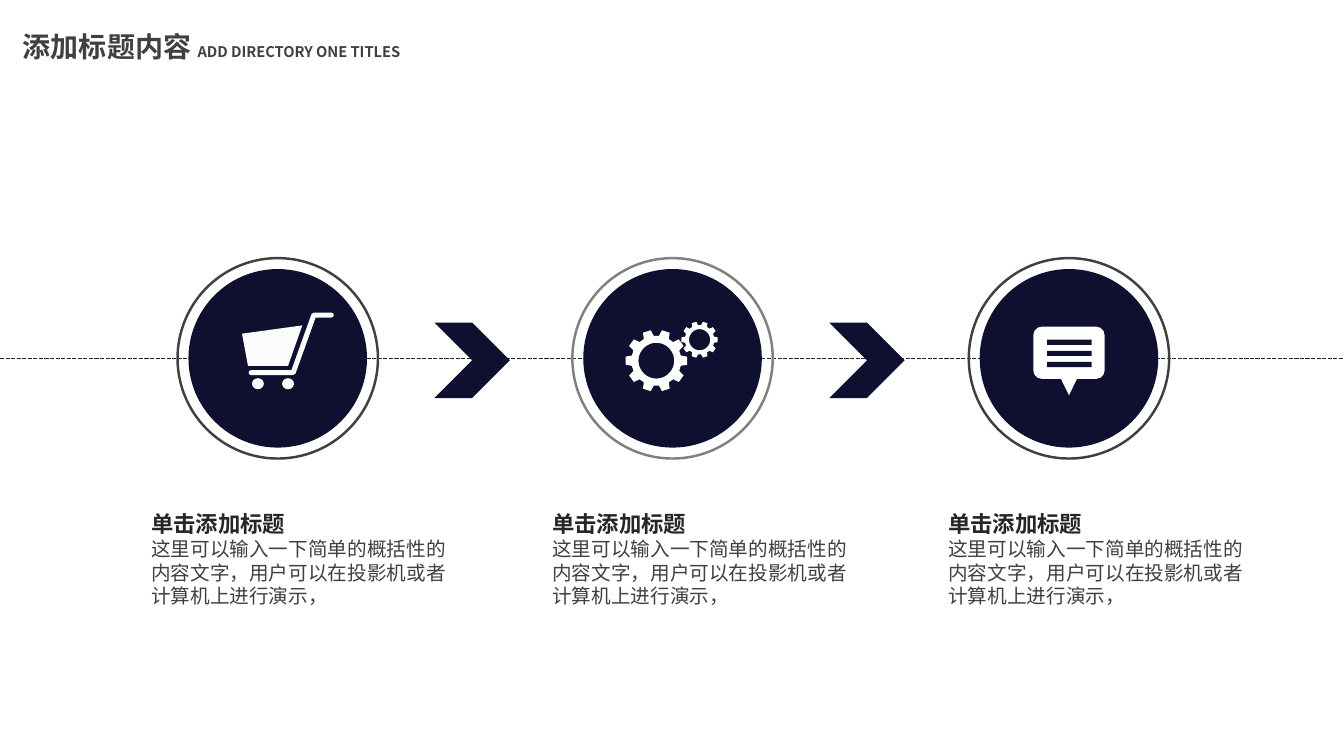
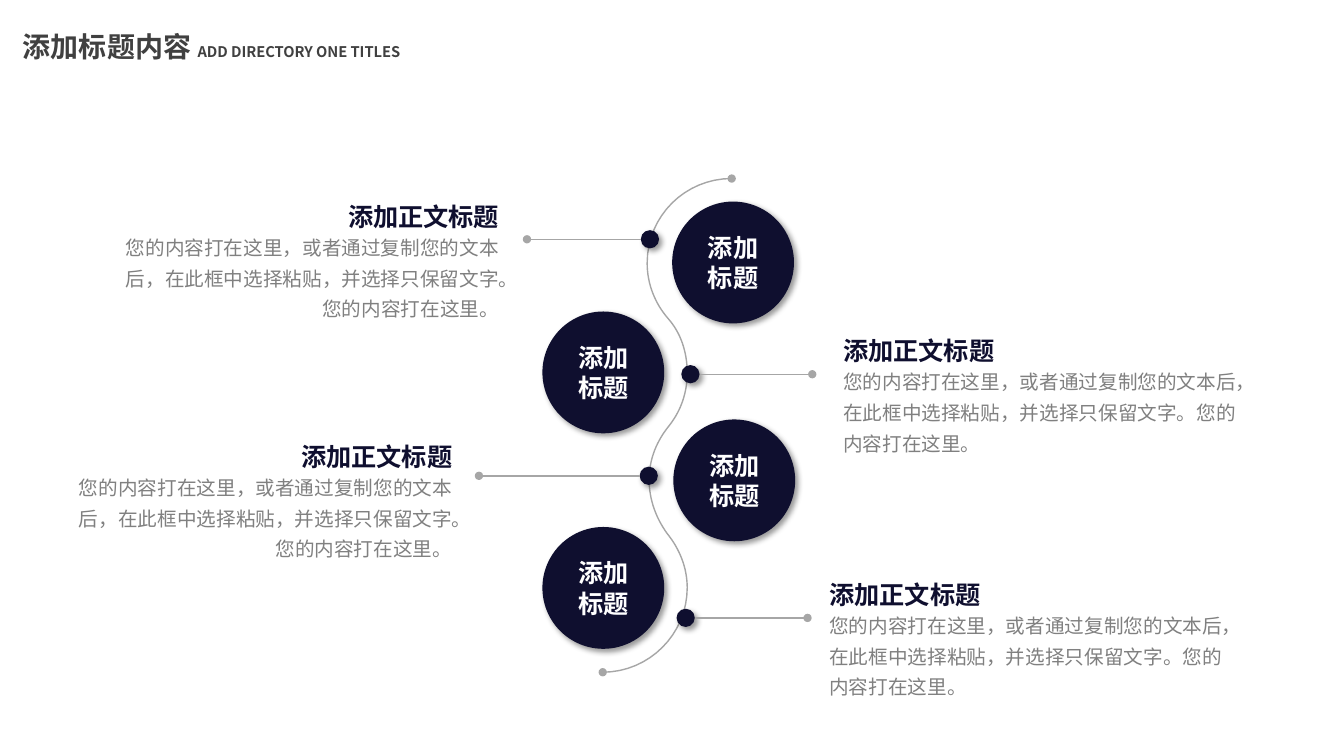
from math import cos, sin, radians
from lxml.etree import SubElement
from pptx import Presentation
from pptx.dml.color import RGBColor
from pptx.enum.dml import MSO_LINE
from pptx.enum.shapes import MSO_CONNECTOR, MSO_SHAPE
from pptx.enum.text import MSO_ANCHOR, MSO_AUTO_SIZE, PP_ALIGN
from pptx.oxml.ns import qn
from pptx.util import Cm, Pt

OVAL = MSO_SHAPE.OVAL
RECT = MSO_SHAPE.RECTANGLE
ROUND = MSO_SHAPE.ROUNDED_RECTANGLE
WEDGE = MSO_SHAPE.FLOWCHART_MERGE
ARROW = MSO_SHAPE.CHEVRON
LINE = MSO_CONNECTOR.STRAIGHT
DASH = MSO_LINE.SQUARE_DOT
LEFT, MID, RIGHT = PP_ALIGN.LEFT, PP_ALIGN.CENTER, PP_ALIGN.RIGHT
CENTRE = MSO_ANCHOR.MIDDLE
GROW = MSO_AUTO_SIZE.SHAPE_TO_FIT_TEXT

FACE = "Noto Sans CJK SC"
NAVY, WHITE, PALE = "0F0F2F", "FFFFFF", "FCFCFC"
INK, DARK, GREY, RULE = "262626", "404040", "808080", "A6A6A6"


def paint(item, fill=None, edge=None, width=1, dash=None, ends=(), drop=False):
    if fill:
        item.fill.solid()
        item.fill.fore_color.rgb = RGBColor.from_string(fill)
    elif hasattr(item, "fill"):
        item.fill.background()
    if edge:
        item.line.color.rgb = RGBColor.from_string(edge)
        item.line.width = Pt(width)
    else:
        item.line.fill.background()
    if dash:
        item.line.dash_style = dash
    props = item.element.spPr
    for end in ends:
        SubElement(props.find(qn("a:ln")), qn("a:" + end), type="oval")
    effects = SubElement(props, qn("a:effectLst"))
    if drop:
        shade = SubElement(effects, qn("a:outerShdw"), blurRad=str(Pt(4)),
                           dist=str(Pt(3)), dir="2700000", algn="tl", rotWithShape="0")
        tone = SubElement(shade, qn("a:srgbClr"), val="000000")
        SubElement(tone, qn("a:alpha"), val="40000")


def write(frame, text, size, hue, bold=False, align=LEFT, space=None):
    para = frame.add_paragraph() if frame.text else frame.paragraphs[0]
    para.add_run().text = text
    para.alignment = align
    if space:
        para.line_spacing = space
    font = para.font
    font.size = Pt(size)
    font.bold = bold
    font.color.rgb = RGBColor.from_string(hue)
    font.name = FACE
    SubElement(para._p.pPr.find(qn("a:defRPr")), qn("a:ea"), typeface=FACE)
    return para


deck = Presentation()
deck.slide_width, deck.slide_height = Cm(33.87), Cm(19.05)
pages = [deck.slides.add_slide(deck.slide_layouts[6]) for _ in range(2)]
for page in pages:
    frame = page.shapes.add_textbox(0, Cm(0.61), Cm(10.67), Cm(1.12)).text_frame
    frame.word_wrap = True
    frame.auto_size = GROW
    para = write(frame, "添加标题内容 ", 20, DARK, True, MID)
    run = para.add_run()
    run.text = "ADD DIRECTORY ONE TITLES"
    run.font.size = Pt(10.5)

steps, path = [page.shapes for page in pages]

axis = 9.03
line = steps.add_connector(LINE, 0, Cm(axis), deck.slide_width, Cm(axis))
paint(line, edge=INK, dash=DASH)
for x in (10.95, 20.9):
    paint(steps.add_shape(ARROW, Cm(x), Cm(8.13), Cm(1.9), Cm(1.9)), NAVY)

icons = []
for mid, edge in ((7, DARK), (16.95, GREY), (26.94, DARK)):
    icon = steps.add_group_shape().shapes
    for size, fill, rim in ((5.05, None, edge), (4.5, NAVY, None)):
        disc = icon.add_shape(OVAL, Cm(mid - size / 2), Cm(axis - size / 2), Cm(size), Cm(size))
        paint(disc, fill, rim, 1.75)
    icons.append(icon)
cart, gears, chat = icons

spots = [(7.62, 8.2), (6.1, 8.41), (6.25, 9.22), (7.26, 9.22)]
spots = [(Cm(x), Cm(y)) for x, y in spots]
form = cart.build_freeform(*spots[0])
form.add_line_segments(spots[1:])
paint(form.convert_to_shape(), PALE)
spots = [(6.33, 9.39), (7.39, 9.39), (7.91, 7.94), (8.35, 7.94)]
spots = [(Cm(x), Cm(y)) for x, y in spots]
form = cart.build_freeform(*spots[0])
form.add_line_segments(spots[1:], close=False)
grip = form.convert_to_shape()
paint(grip, edge=PALE, width=3.6)
grip.element.spPr.find(qn("a:ln")).set("cap", "rnd")
for x in (6.35, 7.11):
    paint(cart.add_shape(OVAL, Cm(x), Cm(9.53), Cm(0.3), Cm(0.28)), PALE)

tooth = ((-12, 0.63), (-7.5, 0.78), (7.5, 0.78), (12, 0.63))
rim = [(36 * n + turn, far) for n in range(10) for turn, far in tooth]
hole = [(turn, 0.45) for turn in range(0, 360, 6)]
for x, y, scale in ((16.54, 9.09, 1), (17.63, 8.56, 0.59)):
    rings = [[(Cm(x + scale * far * cos(radians(turn))), Cm(y + scale * far * sin(radians(turn))))
              for turn, far in ring] for ring in (rim, hole)]
    form = gears.build_freeform(*rings[0][0])
    form.add_line_segments(rings[0][1:])
    form.move_to(*rings[1][0])
    form.add_line_segments(rings[1][1:])
    paint(form.convert_to_shape(), WHITE)

paint(chat.add_shape(WEDGE, Cm(26.7), Cm(9.47), Cm(0.48), Cm(0.49)), WHITE)
paint(chat.add_shape(ROUND, Cm(26.04), Cm(8.23), Cm(1.8), Cm(1.32)), WHITE)
for n in range(3):
    paint(chat.add_shape(RECT, Cm(26.39), Cm(8.56 + 0.28 * n), Cm(1.12), Cm(0.13)), NAVY)

for x in (3.56, 13.67, 23.65):
    frame = steps.add_textbox(Cm(x), Cm(12.73), Cm(8), Cm(2.74)).text_frame
    frame.word_wrap = False
    frame.auto_size = GROW
    write(frame, "单击添加标题", 16, INK, True)
    for text in ("这里可以输入一下简单的概括性的", "内容文字，用户可以在投影机或者", "计算机上进行演示，"):
        write(frame, text, 14, DARK)

knots = [(15.19, 16.94), (16.36, 16.94), (17.32, 15.98), (17.32, 14.81),
         (17.32, 14.3), (17.12, 13.82), (16.81, 13.44),
         (16.54, 13.06), (16.36, 12.6), (16.36, 12.09),
         (16.36, 11.56), (16.56, 11.1), (16.87, 10.72),
         (17.17, 10.34), (17.32, 9.88), (17.32, 9.4),
         (17.32, 8.86), (17.15, 8.38), (16.84, 8.03),
         (16.51, 7.65), (16.31, 7.16), (16.31, 6.63),
         (16.31, 5.44), (17.27, 4.5), (18.44, 4.5)]
curve = []
for start in range(0, len(knots) - 1, 3):
    for n in range(1, 17):
        t = n / 16
        parts = ((1 - t) ** 3, 3 * t * (1 - t) ** 2, 3 * t * t * (1 - t), t ** 3)
        pairs = list(zip(parts, knots[start:start + 4]))
        curve.append((Cm(sum(k * p[0] for k, p in pairs)), Cm(sum(k * p[1] for k, p in pairs))))
form = path.build_freeform(Cm(knots[0][0]), Cm(knots[0][1]))
form.add_line_segments(curve, close=False)
paint(form.convert_to_shape(), edge=RULE, ends=("headEnd", "tailEnd"))

rows = [((16.94, 5.08), (16.38, 6.03), 13.28, (12.83, 4.7), RIGHT),
        ((13.67, 7.85), (17.4, 9.43), 20.47, (21, 8.08), LEFT),
        ((16.97, 10.57), (16.35, 11.99), 12.07, (11.65, 10.74), RIGHT),
        ((13.67, 13.28), (17.28, 15.57), 20.35, (20.65, 14.22), LEFT)]
note = "您的内容打在这里，或者通过复制您的文本后，在此框中选择粘贴，并选择只保留文字。您的内容打在这里。"
for (x, y), (dot, level), far, (side, top), align in rows:
    ball = path.add_shape(OVAL, Cm(x), Cm(y), Cm(3.07), Cm(3.07))
    paint(ball, NAVY, drop=True)
    ball.text_frame.vertical_anchor = CENTRE
    write(ball.text_frame, "添加标题", 18, WHITE, True, MID)

    bead = path.add_shape(OVAL, Cm(dot - 0.23), Cm(level - 0.23), Cm(0.46), Cm(0.46))
    paint(bead, NAVY, drop=True)
    near = dot - 0.23 if align == RIGHT else dot + 0.23
    line = path.add_connector(LINE, Cm(near), Cm(level), Cm(far), Cm(level))
    paint(line, edge=RULE, ends=("tailEnd",))

    wide = 10.2 if align == RIGHT else 10.7
    left = side - wide if align == RIGHT else side
    body = path.add_textbox(Cm(left), Cm(top + 0.95), Cm(wide), Cm(2.59)).text_frame
    head = path.add_textbox(Cm(left), Cm(top), Cm(wide), Cm(1.02)).text_frame
    head.margin_top = head.margin_bottom = 0
    for frame in (body, head):
        frame.word_wrap = True
        frame.auto_size = GROW
    write(body, note, 14, GREY, align=align, space=1.3)
    write(head, "添加正文标题", 18, NAVY, True, align, 1.5)

deck.save("out.pptx")
